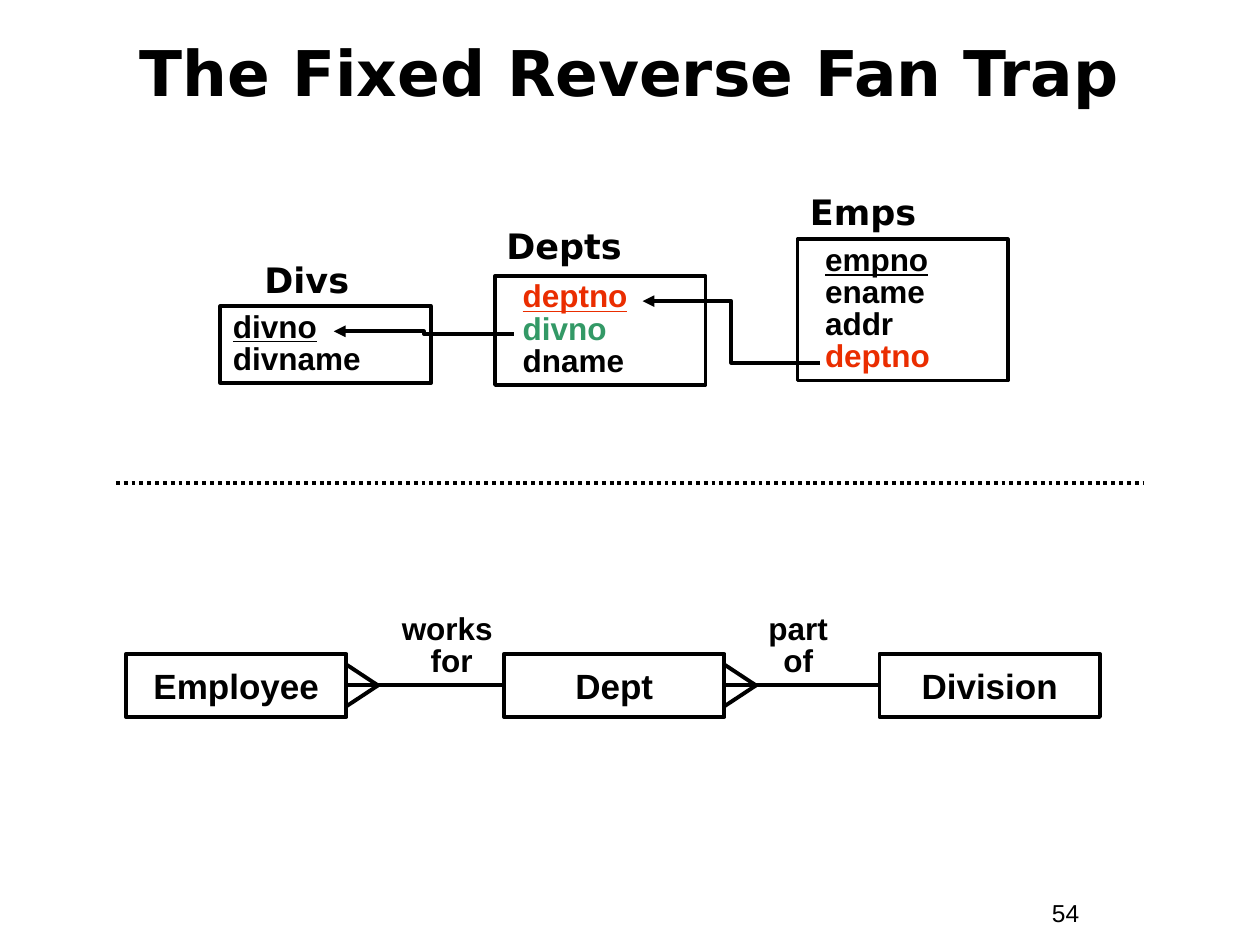
import pptx
import pptx.util
import pptx.dml.color
import pptx.enum.dml
import pptx.enum.shapes
import pptx.enum.text
import pptx.oxml
from pptx.util import Inches, Pt

INK = {"black": "000000", "red": "EA2D00", "green": "339966"}
WIDE, HIGH = 10, 7.5
HEAD, BODY = "DejaVu Sans", "Arial"
TIGHT = 0.85

# name, name place, box place, indent, (field, colour, is key)
TABLES = [
    ("Emps", (6.33, 1.46), (6.33, 1.9), 0.12,
     [("empno", "black", True), ("ename", "black", False),
      ("addr", "black", False), ("deptno", "red", False)]),
    ("Divs", (2, 2), (1.75, 2.43), 0,
     [("divno", "black", True), ("divname", "black", False)]),
    ("Depts", (3.92, 1.73), (3.93, 2.19), 0.12,
     [("deptno", "red", True), ("divno", "green", False),
      ("dname", "black", False)]),
]
KEYS = [((4.08, 2.65), (2.65, 2.63)), ((6.51, 2.88), (5.1, 2.39))]

ENTITIES = [("Employee", 1), ("Dept", 4), ("Division", 6.98)]
LINKS = [(["works ", "for"], 2.75), (["part", "of"], 5.5)]
ROW, BOX_W, BOX_H = 5.19, 1.75, 0.5
FOOT_W, FOOT_H = 0.25, 0.165
TABLE_W, FIELD_H, PAD = 1.67, 0.255, 0.1

KIND = pptx.enum.shapes.MSO_CONNECTOR
CENTER = pptx.enum.text.PP_ALIGN.CENTER
MIDDLE = pptx.enum.text.MSO_ANCHOR.MIDDLE

deck = pptx.Presentation()
deck.slide_width, deck.slide_height = Inches(WIDE), Inches(HIGH)
slide = deck.slides.add_slide(deck.slide_layouts[6])
shapes = slide.shapes


def paint(color, name):
    color.rgb = pptx.dml.color.RGBColor.from_string(INK[name])


def style(para, size, face=BODY, bold=True, color="black", align=None, space=None):
    font = para.font
    font.size, font.name, font.bold = Pt(size), face, bold
    paint(font.color, color)
    para.alignment, para.line_spacing = align, space


def label(lines, x, y, w, h, size, **look):
    """Add a text box with one paragraph, broken into the given lines."""
    box = shapes.add_textbox(Inches(x), Inches(y), Inches(w), Inches(h))
    frame = box.text_frame
    frame.word_wrap = True
    para = frame.paragraphs[0]
    for i, line in enumerate(lines):
        if i:
            para.add_line_break()
        para.add_run().text = line
    style(para, size, **look)
    return frame


def frame_box(x, y, w, h):
    """Add an unfilled rectangle with a black outline."""
    box = shapes.add_shape(pptx.enum.shapes.MSO_SHAPE.RECTANGLE,
                           Inches(x), Inches(y), Inches(w), Inches(h))
    box.shadow.inherit = False
    box.fill.background()
    paint(box.line.fill.fore_color if box.line.fill.type else box.line.color, "black")
    box.line.width = Pt(2.25)
    return box


def join(start, end, kind=KIND.STRAIGHT, arrow=False):
    line = shapes.add_connector(kind, *map(Inches, start + end))
    paint(line.line.color, "black")
    line.line.width = Pt(2.25)
    props = line._element.spPr
    if arrow:
        tip = pptx.oxml.parse_xml(
            '<a:tailEnd xmlns:a="http://schemas.openxmlformats.org/drawingml/2006/main"'
            ' type="triangle"/>')
        line.line._get_or_add_ln().append(tip)
    props.append(pptx.oxml.parse_xml(
        '<a:effectLst xmlns:a="http://schemas.openxmlformats.org/drawingml/2006/main"/>'))
    return line


title = label(["The Fixed Reverse Fan Trap"], 0.33, 0.22, 9.33, 0.78, 36,
              face=HEAD, align=CENTER, space=TIGHT)
title.vertical_anchor = MIDDLE
label(["54"], 8.25, 7.08, 0.92, 0.34, 14, bold=False)

for name, spot, place, indent, fields in TABLES:
    label([name], *spot, 1.5, 0.44, 20, face=HEAD)
    box = frame_box(*place, TABLE_W, PAD + FIELD_H * len(fields))
    frame = box.text_frame
    frame.word_wrap = True
    frame.vertical_anchor = pptx.enum.text.MSO_ANCHOR.TOP
    for i, (field, color, key) in enumerate(fields):
        para = frame.add_paragraph() if i else frame.paragraphs[0]
        para.text = field
        para._p.get_or_add_pPr().set("marL", str(Inches(indent)))
        style(para, 18, color=color, align=pptx.enum.text.PP_ALIGN.LEFT, space=TIGHT)
        para.font.underline = key

for start, end in KEYS:
    join(start, end, KIND.ELBOW, arrow=True)

divide = join((0.92, 3.83), (9.08, 3.83))
divide.line.dash_style = pptx.enum.dml.MSO_LINE.ROUND_DOT

boxes = []
for name, x in ENTITIES:
    box = frame_box(x, ROW, BOX_W, BOX_H)
    box.text_frame.word_wrap = False
    box.text_frame.vertical_anchor = MIDDLE
    para = box.text_frame.paragraphs[0]
    para.text = name
    style(para, 20, align=CENTER)
    boxes.append(box)

mid = ROW + BOX_H / 2
for i, (words, x) in enumerate(LINKS):
    side = ENTITIES[i][1] + BOX_W
    line = join((side, mid), (ENTITIES[i + 1][1], mid))
    line.begin_connect(boxes[i], 3)
    line.end_connect(boxes[i + 1], 1)
    for rise in (-FOOT_H, FOOT_H):
        join((side + FOOT_W, mid), (side, mid + rise))
    label(words, x, 4.83, TABLE_W, 0.61, 18, align=CENTER, space=TIGHT)

deck.save("out.pptx")
